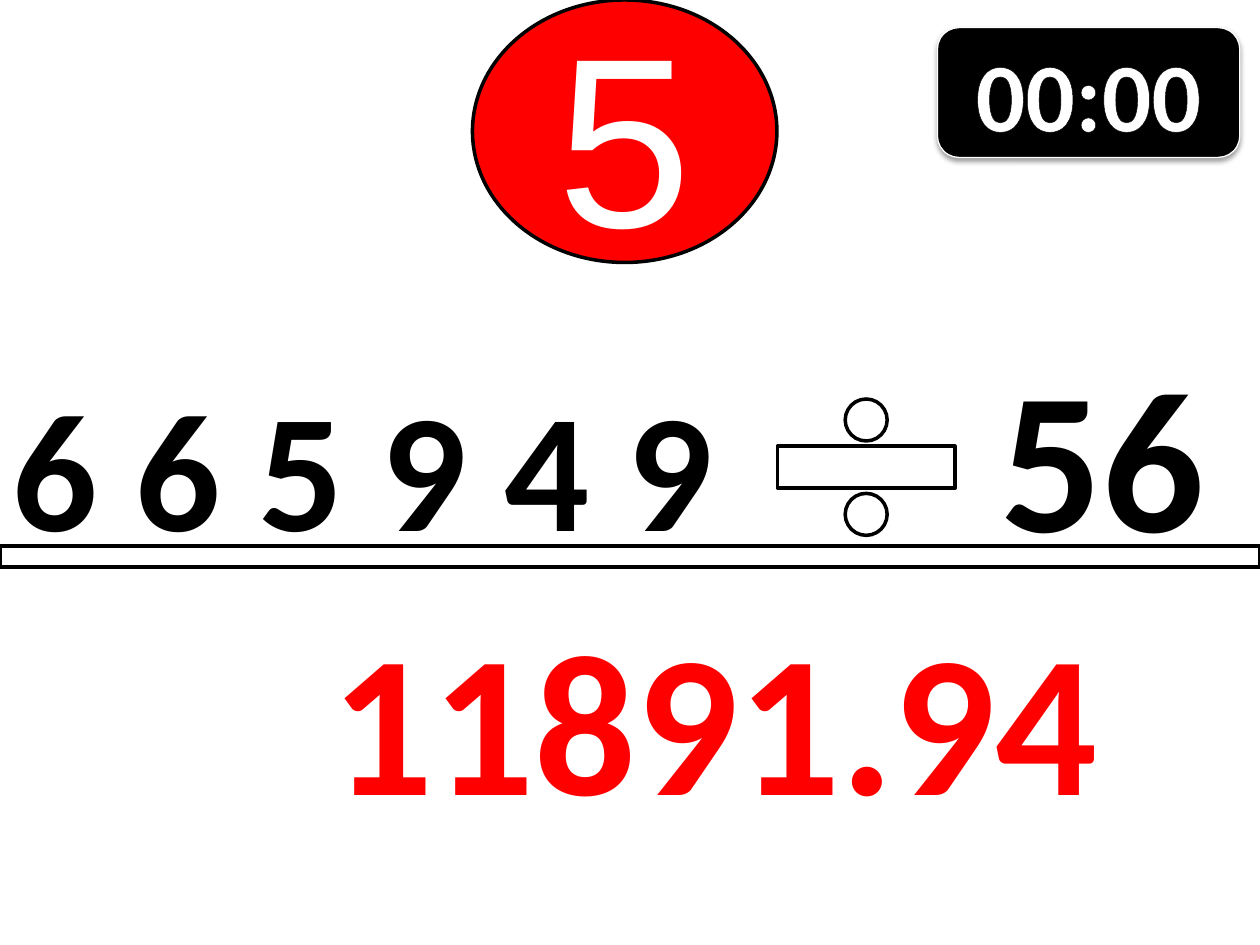
from lxml.etree import SubElement
from pptx import Presentation
from pptx.dml.color import RGBColor
from pptx.enum.shapes import MSO_SHAPE as Preset
from pptx.enum.text import MSO_ANCHOR as Anchor, PP_ALIGN as Align
from pptx.oxml import parse_xml
from pptx.oxml.ns import nsdecls, qn
from pptx.util import Pt

BLACK, WHITE, RED = "000000", "FFFFFF", "FF0000"


def color(hex_value):
    return RGBColor.from_string(hex_value)


def place(box):
    return [Pt(value) for value in box]


def outline_text(run, hex_value, width):
    properties = run.font._element
    line = parse_xml(
        f'<a:ln {nsdecls("a")} w="{Pt(width)}"><a:solidFill>'
        f'<a:srgbClr val="{hex_value}"/></a:solidFill></a:ln>'
    )
    properties.insert(0, line)


def write(shape, text, size, fill, font="Calibri", bold=True,
          outline=None, align=Align.CENTER):
    paragraph = shape.text_frame.paragraphs[0]
    paragraph.alignment = align
    run = paragraph.add_run()
    run.text = text
    run.font.name = font
    run.font.size = Pt(size)
    run.font.bold = bold
    run.font.color.rgb = color(fill)
    if outline:
        outline_text(run, *outline)


def add_preset(slide, preset, box, fill, line=BLACK, width=2):
    shape = slide.shapes.add_shape(preset, *place(box))
    shape.shadow.inherit = False
    shape.fill.solid()
    shape.fill.fore_color.rgb = color(fill)
    shape.line.color.rgb = color(line)
    shape.line.width = Pt(width)
    shape.text_frame.vertical_anchor = Anchor.MIDDLE
    return shape


def add_number(slide, box, text, size, fill=BLACK, align=Align.CENTER, wrap=False):
    shape = slide.shapes.add_textbox(*place(box))
    shape.text_frame.word_wrap = wrap
    write(shape, text, size, fill, outline=(fill, 1.45), align=align)


def drop_shadow(shape, blur, distance, alpha):
    effects = shape._element.spPr.find(qn("a:effectLst"))
    shadow = SubElement(effects, qn("a:outerShdw"), blurRad=str(Pt(blur)),
                        dist=str(Pt(distance)), dir="5400000", rotWithShape="0")
    shade = SubElement(shadow, qn("a:srgbClr"), val=BLACK)
    SubElement(shade, qn("a:alpha"), val=str(alpha * 1000))


def add_timer(slide):
    timer = add_preset(slide, Preset.ROUNDED_RECTANGLE, (535.7, 15.8, 172.8, 74.2),
                       BLACK, WHITE, 0.75)
    drop_shadow(timer, 3.1, 1.6, 38)
    frame = timer.text_frame
    frame.margin_left = frame.margin_right = Pt(5.76)
    frame.margin_top = frame.margin_bottom = Pt(2.88)
    write(timer, "00:00", 56, WHITE, outline=(BLACK, 2.48))


def main():
    presentation = Presentation()
    presentation.slide_width, presentation.slide_height = Pt(720), Pt(540)
    slide = presentation.slides.add_slide(presentation.slide_layouts[6])

    # Question number
    badge = add_preset(slide, Preset.OVAL, (270, 0, 174, 150), RED)
    write(badge, "5", 138, WHITE, font="Arial", bold=False)

    # Division
    add_number(slide, (0, 204, 463, 124), "6 6 5 9 4 9", 96,
               align=Align.LEFT, wrap=True)
    add_preset(slide, Preset.MATH_DIVIDE, (426, 216, 138, 102), WHITE)
    add_number(slide, (564, 186, 132.5, 147), "56", 115)
    add_preset(slide, Preset.RECTANGLE, (0, 312, 720, 12), WHITE)

    # Answer
    add_number(slide, (180, 336, 457, 147), "11891.94", 115, RED)

    # Countdown
    add_timer(slide)

    presentation.save("out.pptx")


main()
